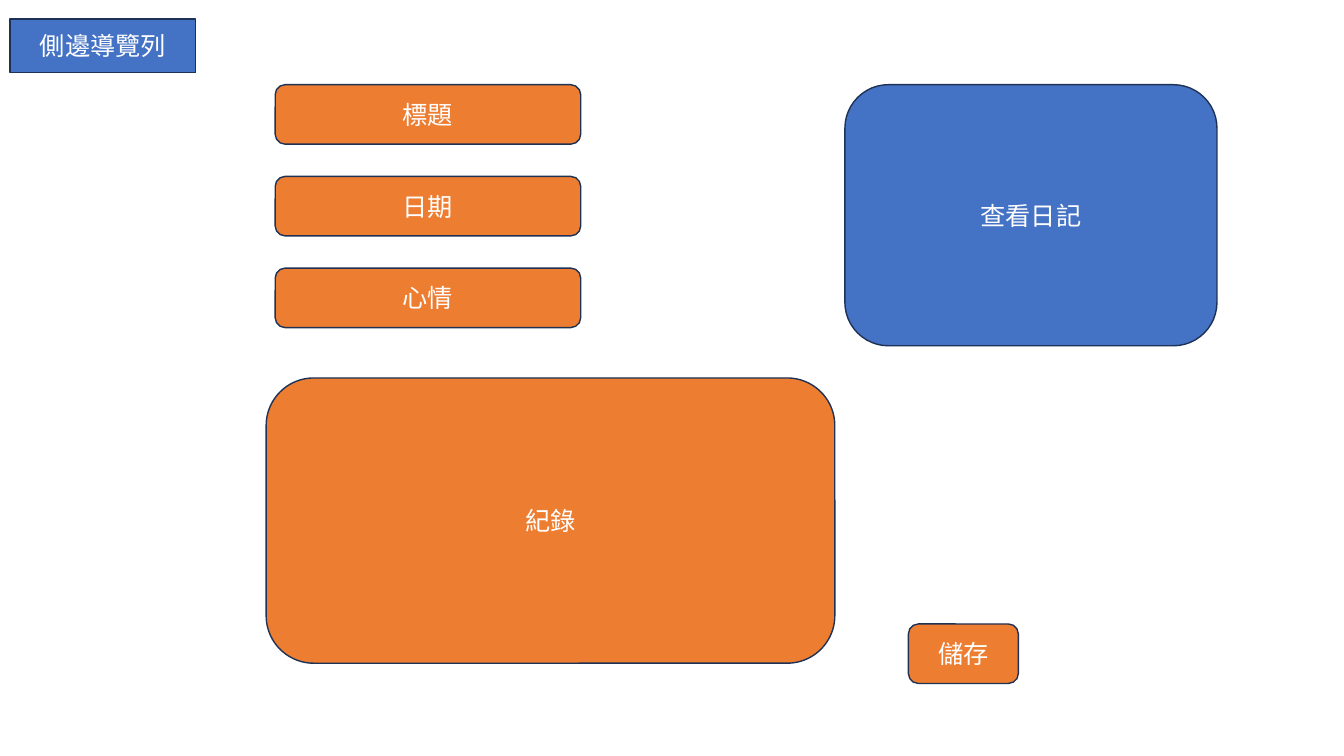
from pptx import Presentation
from pptx.dml.color import RGBColor
from pptx.enum.shapes import MSO_SHAPE as Preset
from pptx.enum.text import MSO_ANCHOR as Anchor, PP_ALIGN as Align
from pptx.util import Inches, Pt

ORANGE = "ED7D31"
BLUE = "4472C4"
OUTLINE = "1E3256"
WHITE = "FFFFFF"
LABEL_FORMAT = {"name": "Calibri", "size": Pt(18)}

FIELD_LABELS = ["標題", "日期", "心情"]
FIELD_TOP = 0.84
FIELD_PITCH = 0.91
BUTTON_HEIGHT = 0.59


def set_color(color_format, hex_color):
    color_format.rgb = RGBColor.from_string(hex_color)


def add_box(slide, label, left, top, width, height, fill,
            preset=Preset.ROUNDED_RECTANGLE):
    shape = slide.shapes.add_shape(
        preset, Inches(left), Inches(top), Inches(width), Inches(height))
    shape.shadow.inherit = False
    shape.fill.solid()
    set_color(shape.fill.fore_color, fill)
    set_color(shape.line.color, OUTLINE)
    shape.line.width = Pt(1)
    add_label(shape, label)


def add_label(shape, label):
    shape.text_frame.vertical_anchor = Anchor.MIDDLE
    paragraph = shape.text_frame.paragraphs[0]
    paragraph.alignment = Align.CENTER
    run = paragraph.add_run()
    run.text = label
    for attribute, value in LABEL_FORMAT.items():
        setattr(run.font, attribute, value)
    set_color(run.font.color, WHITE)


def main():
    presentation = Presentation()
    presentation.slide_width = Inches(13.33)
    presentation.slide_height = Inches(7.5)
    slide = presentation.slides.add_slide(presentation.slide_layouts[6])

    for row, label in enumerate(FIELD_LABELS):
        add_box(slide, label, 2.73, FIELD_TOP + row * FIELD_PITCH,
                3.03, BUTTON_HEIGHT, ORANGE)
    add_box(slide, "紀錄", 2.64, 3.75, 5.64, 2.83, ORANGE)
    add_box(slide, "儲存", 9.01, 6.19, 1.09, BUTTON_HEIGHT, ORANGE)
    add_box(slide, "側邊導覽列", 0.1, 0.19, 1.84, 0.53, BLUE,
            Preset.FLOWCHART_PROCESS)
    add_box(slide, "查看日記", 8.38, FIELD_TOP, 3.69, 2.59, BLUE)

    presentation.save("out.pptx")


if __name__ == "__main__":
    main()
